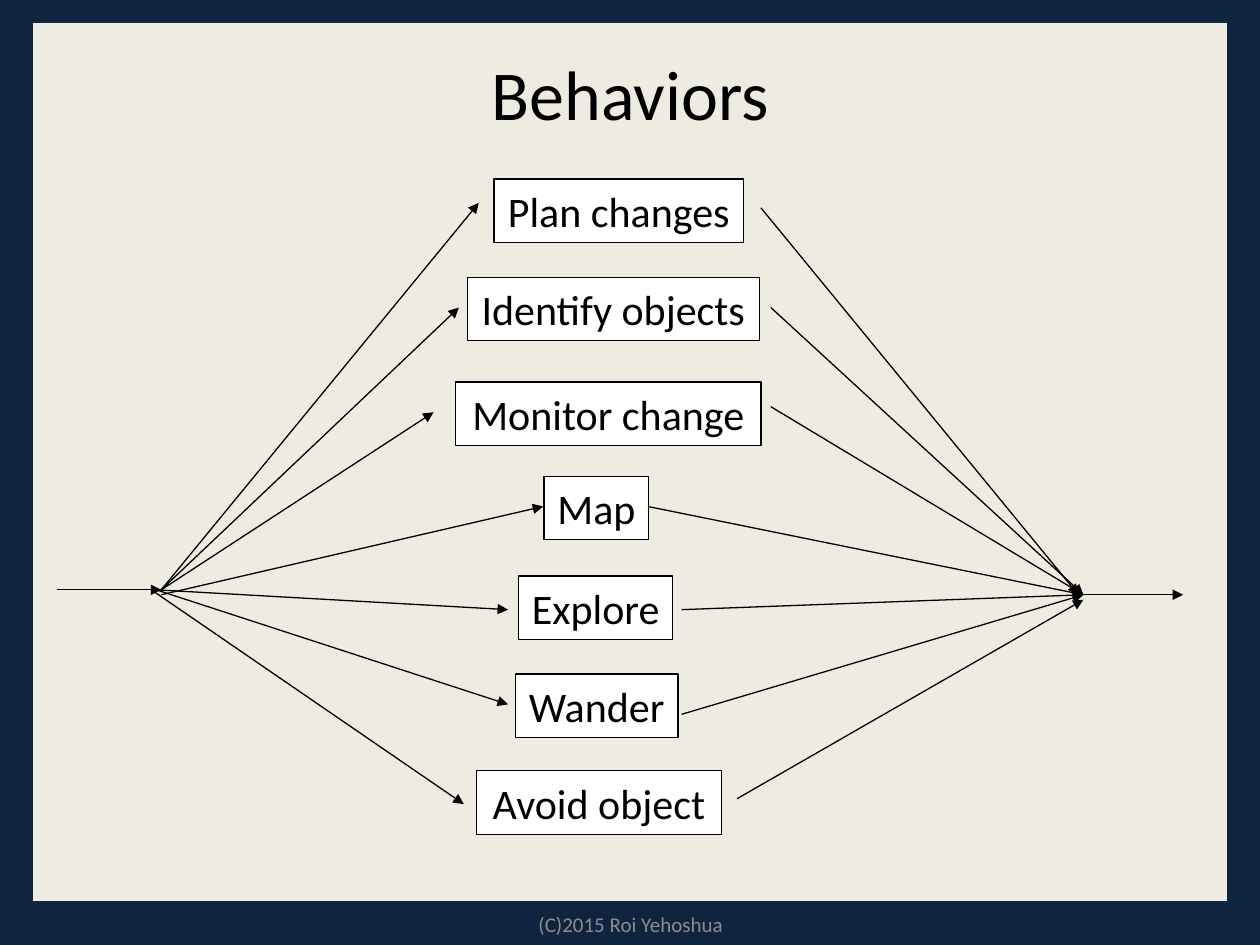
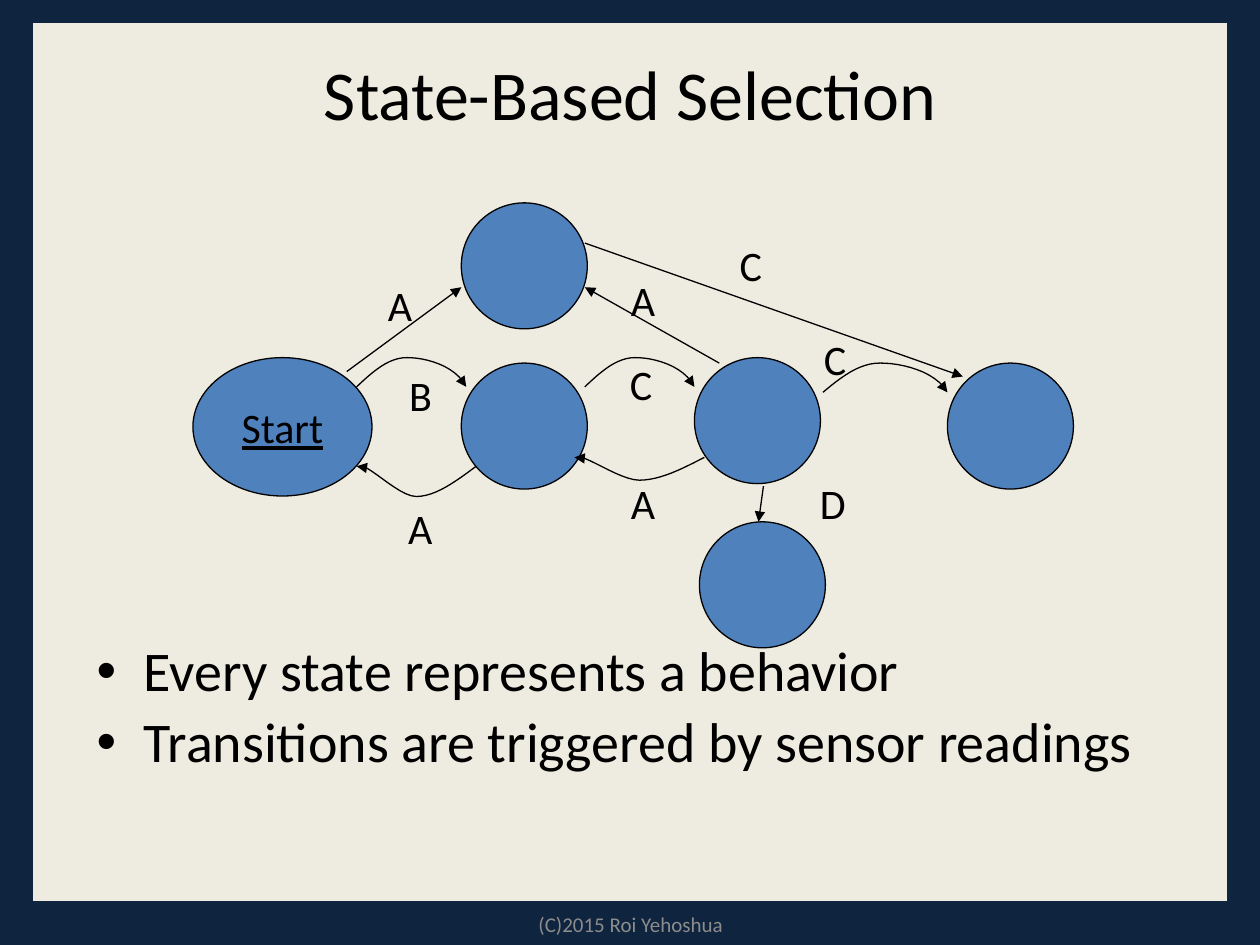
from lxml import etree
from pptx import Presentation
from pptx import util as u
from pptx.dml import color as c
from pptx.enum import shapes, text
from pptx.oxml import ns

NAVY, CREAM, BLUE = "0F243E", "EEECE1", "4F81BD"
BLACK, WHITE, GRAY = "000000", "FFFFFF", "8C8C8C"
FONT = "Calibri"
LABEL_HEIGHT = 1.28
CIRCLE = 2.54

ENTRY_Y, EXIT_Y = 11.89, 11.99
BEHAVIORS = [
    ("Plan changes", (9.96, 3.61, 5.03),
     (3.25, 11.89, 9.65, 4.09), (15.34, 4.19, 21.74, 11.99)),
    ("Identify objects", (9.42, 5.59, 5.89),
     (3.25, 11.89, 9.25, 6.2), (15.54, 6.2, 21.84, 11.99)),
    ("Monitor change", (9.19, 7.7, 6.15),
     (3.25, 11.89, 8.74, 8.31), (15.54, 8.2, 21.84, 11.99)),
    ("Map", (10.97, 9.6, 2.11),
     (3.25, 11.99, 10.95, 10.21), (13.06, 10.21, 21.84, 11.99)),
    ("Explore", (10.46, 11.61, 3.1),
     (3.15, 11.89, 10.24, 12.29), (13.74, 12.29, 21.84, 11.99)),
    ("Wander", (10.39, 13.59, 3.28),
     (3.15, 11.89, 10.24, 14.2), (13.74, 14.4, 21.84, 11.99)),
    ("Avoid object", (9.6, 15.54, 4.95),
     (3.05, 11.89, 9.35, 16.21), (14.86, 16.1, 21.84, 12.09)),
]

STATES = [(9.3, 7.32), (19.1, 7.32), (14, 7.21), (9.3, 4.09), (14.1, 10.52)]
STRAIGHT_TRANSITIONS = [
    (6.99, 7.49, 9.3, 5.79), (15.39, 9.8, 15.29, 10.52),
    (14.5, 7.32, 11.79, 5.79), (11.79, 4.9, 19.41, 7.59),
]
FORWARD = [(0, 1), (0.15, 0.47), (0.29, 0), (0.46, 0),
           (0.62, 0), (0.9, 0.25), (1, 1)]
BACKWARD = [(1, 0), (0.83, 0.5), (0.66, 1), (0.5, 1),
            (0.34, 1), (0.06, -0.25), (0, 0)]
CURVED_TRANSITIONS = [
    (FORWARD, 7.19, 7.21, 2.21, 0.59),
    (FORWARD, 11.79, 7.21, 2.21, 0.59),
    (FORWARD, 16.59, 7.32, 2.51, 0.59),
    (BACKWARD, 7.19, 9.4, 2.41, 0.61),
    (BACKWARD, 11.58, 9.22, 2.62, 0.46),
]
TRANSITION_LABELS = [
    ("A", 7.57, 5.51), ("A", 7.98, 10.01), ("B", 8, 7.32),
    ("C", 12.45, 7.11), ("A", 12.47, 5.41), ("C", 14.66, 4.7),
    ("A", 12.47, 9.5), ("D", 16.28, 9.5), ("C", 16.36, 6.6),
]


def rgb(value):
    return c.RGBColor.from_string(value)


def write(shape, *lines, size=24, color=BLACK, align=text.PP_ALIGN.CENTER,
          anchor=text.MSO_ANCHOR.MIDDLE, wrap=False, underline=False,
          bullet=False):
    frame = shape.text_frame
    frame.word_wrap = wrap
    frame.vertical_anchor = anchor
    for index, line in enumerate(lines):
        paragraph = frame.add_paragraph() if index else frame.paragraphs[0]
        paragraph.alignment = align
        run = paragraph.add_run()
        run.text = line
        run.font.name = FONT
        run.font.size = u.Pt(size)
        run.font.color.rgb = rgb(color)
        run.font.underline = underline
        if bullet:
            add_bullet(paragraph)


def add_bullet(paragraph):
    paragraph.line_spacing = 0.9
    paragraph.space_before = u.Pt(6)
    indent = u.Cm(0.95)
    properties = paragraph._p.get_or_add_pPr()
    properties.set("marL", str(indent))
    properties.set("indent", str(-indent))
    etree.SubElement(properties, ns.qn("a:buFont"), typeface="Arial")
    etree.SubElement(properties, ns.qn("a:buChar"), char="•")


def add_box(slide, kind, left, top, width, height, fill,
            line=BLACK, weight=0.75):
    shape = slide.shapes.add_shape(
        kind, u.Cm(left), u.Cm(top), u.Cm(width), u.Cm(height))
    shape.shadow.inherit = False
    shape.fill.solid()
    shape.fill.fore_color.rgb = rgb(fill)
    shape.line.color.rgb = rgb(line)
    shape.line.width = u.Pt(weight)
    return shape


def add_text(slide, content, left, top, width, height, **style):
    box = slide.shapes.add_textbox(
        u.Cm(left), u.Cm(top), u.Cm(width), u.Cm(height))
    lines = [content] if isinstance(content, str) else content
    write(box, *lines, **style)


def style_arrow(shape):
    shape.line.color.rgb = rgb(BLACK)
    shape.line.width = u.Pt(0.75)
    outline = shape._element.spPr.find(ns.qn("a:ln"))
    etree.SubElement(outline, ns.qn("a:tailEnd"), type="triangle")


def add_arrow(slide, *ends):
    connector = slide.shapes.add_connector(
        shapes.MSO_CONNECTOR.STRAIGHT, *(u.Cm(value) for value in ends))
    style_arrow(connector)
    etree.SubElement(connector._element.spPr, ns.qn("a:effectLst"))


def bezier(controls, steps=12):
    for step in range(1, steps + 1):
        t = step / steps
        weights = ((1 - t) ** 3, 3 * t * (1 - t) ** 2,
                   3 * t ** 2 * (1 - t), t ** 3)
        yield tuple(sum(weight * value for weight, value in zip(weights, axis))
                    for axis in zip(*controls))


def add_curved_arrow(slide, profile, left, top, width, height):
    points = [(u.Cm(left + x * width), u.Cm(top + y * height))
              for x, y in profile]
    builder = slide.shapes.build_freeform(*points[0])
    for first in (0, 3):
        builder.add_line_segments(bezier(points[first:first + 4]), close=False)
    curve = builder.convert_to_shape()
    curve.shadow.inherit = False
    curve.fill.background()
    style_arrow(curve)


def add_slide(presentation, title):
    slide = presentation.slides.add_slide(presentation.slide_layouts[6])
    add_box(slide, shapes.MSO_SHAPE.RECTANGLE, 0.64, 0.43, 24.13, 17.78,
            CREAM, line=NAVY, weight=2)
    add_text(slide, title, 0.64, 0.55, 24.13, 2.64, size=40, wrap=True)
    add_text(slide, "(C)2015 Roi Yehoshua", 8.69, 18.21, 8.05, 0.84,
             size=12, color=GRAY, wrap=True)
    return slide


def build_behaviors(presentation):
    slide = add_slide(presentation, "Behaviors")
    for name, (left, top, width), incoming, outgoing in BEHAVIORS:
        box = add_box(slide, shapes.MSO_SHAPE.RECTANGLE, left, top, width,
                      LABEL_HEIGHT, WHITE)
        write(box, name)
        add_arrow(slide, *incoming)
        add_arrow(slide, *outgoing)
    add_arrow(slide, 1.14, ENTRY_Y, 3.25, ENTRY_Y)
    add_arrow(slide, 21.74, EXIT_Y, 23.85, EXIT_Y)


def build_state_selection(presentation):
    slide = add_slide(presentation, "State-Based Selection")
    add_text(slide, ["Every state represents a behavior",
                     "Transitions are triggered by sensor readings"],
             1.7, 12.84, 22.66, 3.67, size=32, align=text.PP_ALIGN.LEFT,
             anchor=text.MSO_ANCHOR.TOP, wrap=True, bullet=True)
    start = add_box(slide, shapes.MSO_SHAPE.OVAL, 3.89, 7.21, 3.61, 2.79, BLUE)
    write(start, "Start", underline=True)
    for left, top in STATES:
        add_box(slide, shapes.MSO_SHAPE.OVAL, left, top, CIRCLE, CIRCLE, BLUE)
    for transition in CURVED_TRANSITIONS:
        add_curved_arrow(slide, *transition)
    for ends in STRAIGHT_TRANSITIONS:
        add_arrow(slide, *ends)
    for label, left, top in TRANSITION_LABELS:
        add_text(slide, label, left, top, 1, LABEL_HEIGHT,
                 align=text.PP_ALIGN.LEFT, anchor=text.MSO_ANCHOR.TOP)


def main():
    presentation = Presentation()
    presentation.slide_width = u.Cm(25.4)
    presentation.slide_height = u.Cm(19.05)
    background = presentation.slide_master.background.fill
    background.solid()
    background.fore_color.rgb = rgb(NAVY)
    build_behaviors(presentation)
    build_state_selection(presentation)
    presentation.save("out.pptx")


main()
